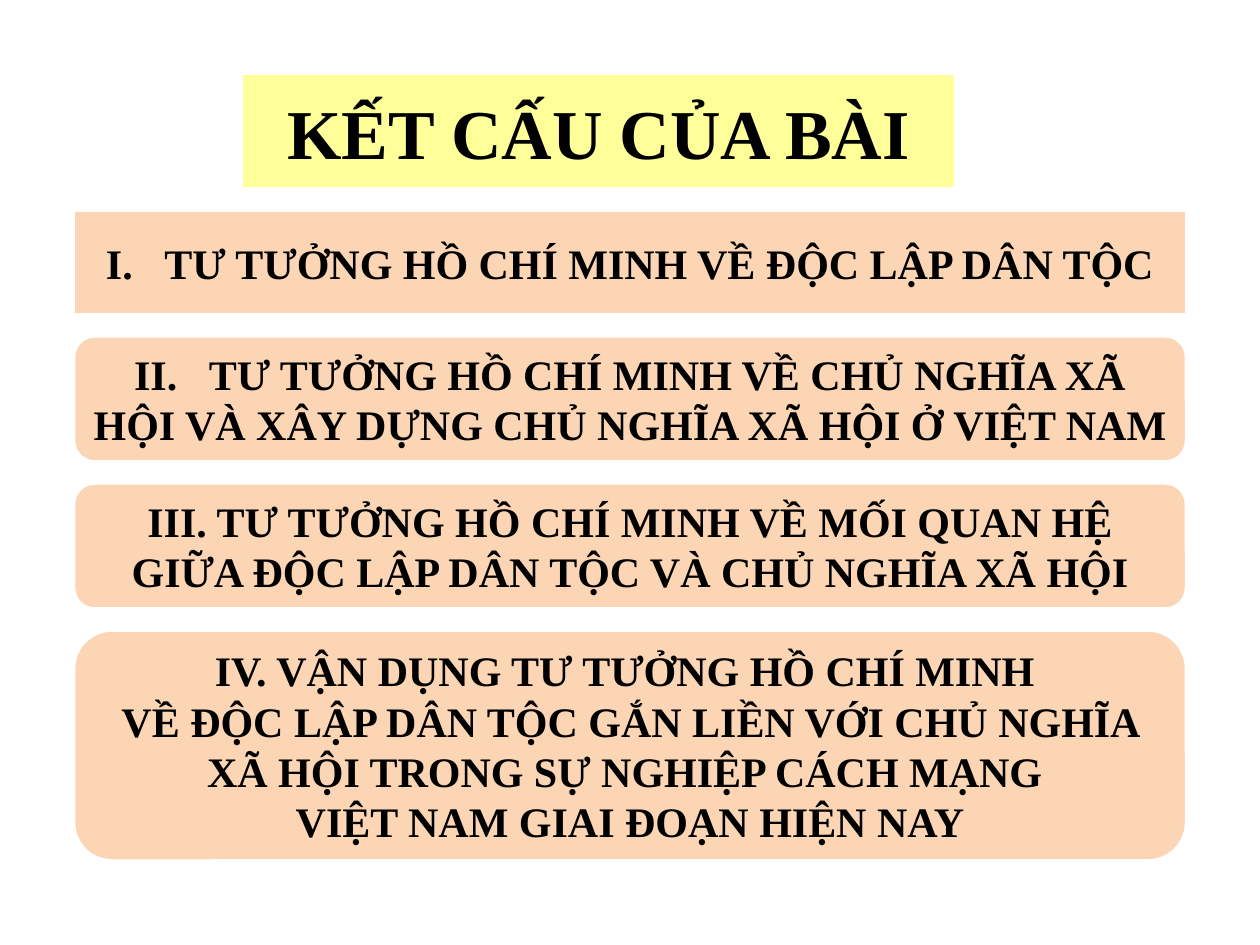
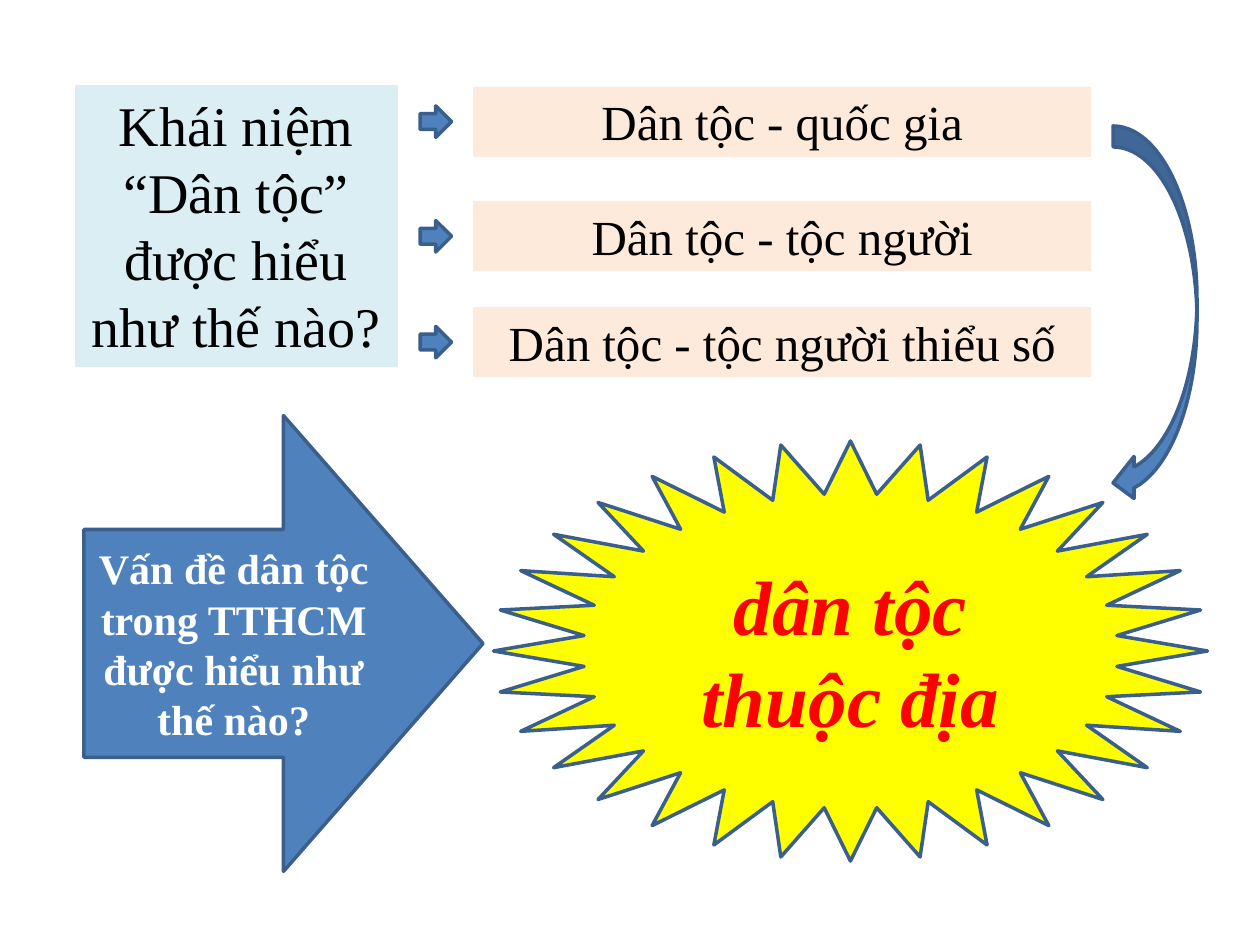
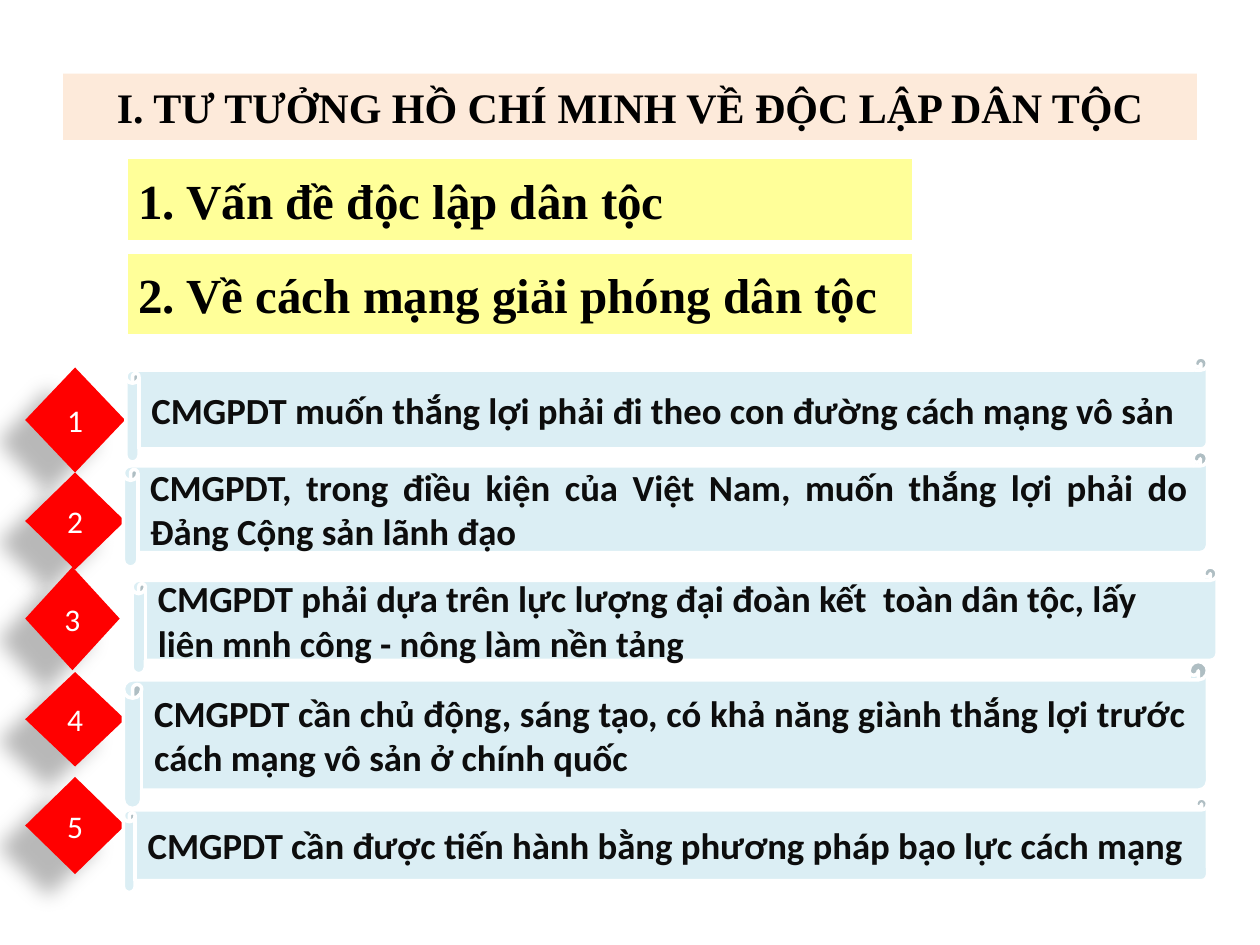
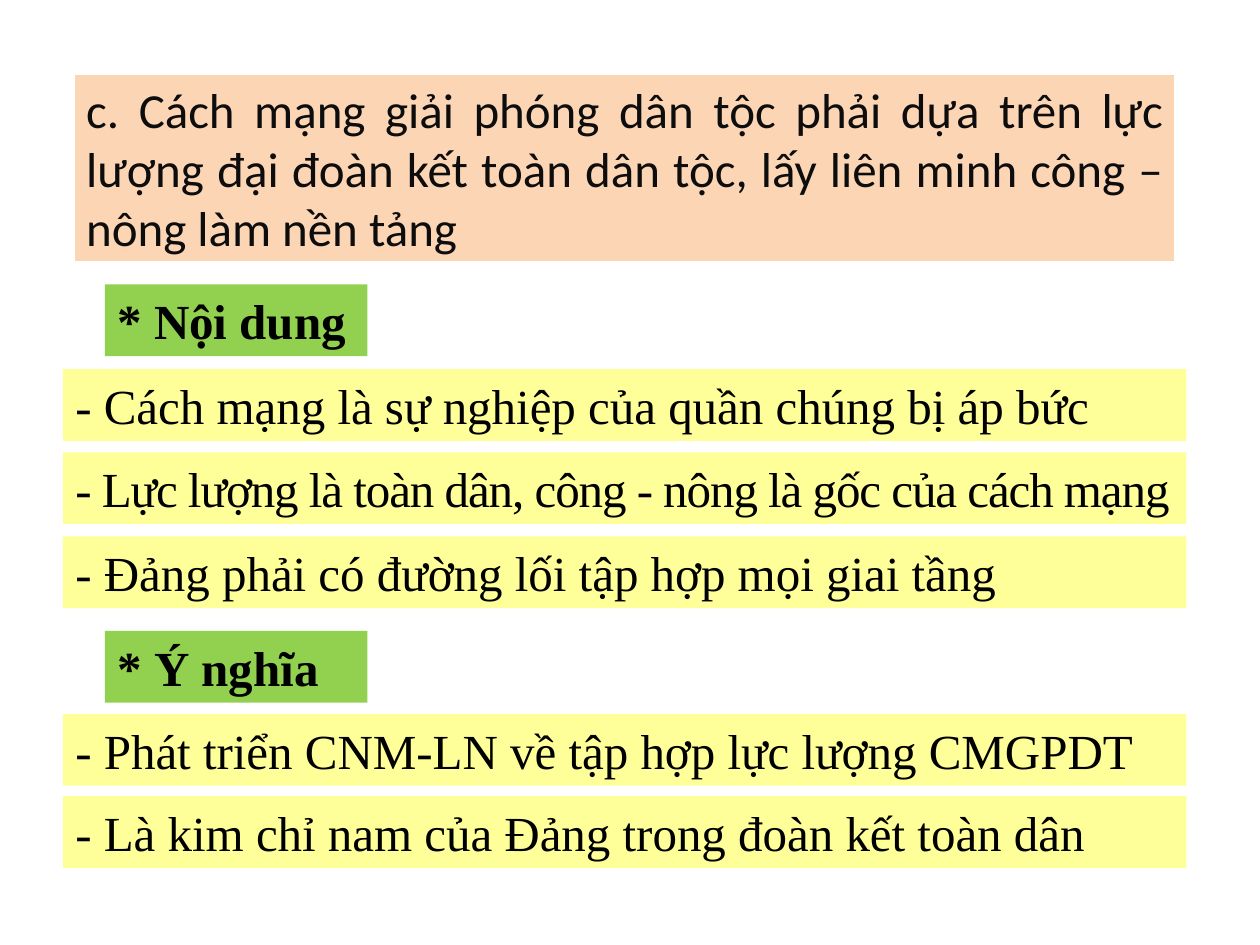
from dataclasses import dataclass

from lxml import etree
from pptx import Presentation
from pptx.dml.color import RGBColor
from pptx.enum.shapes import MSO_SHAPE
from pptx.enum.text import MSO_ANCHOR, MSO_AUTO_SIZE, PP_ALIGN
from pptx.oxml.ns import qn
from pptx.util import Pt

RECTANGLE = MSO_SHAPE.RECTANGLE
ROUNDED = MSO_SHAPE.ROUNDED_RECTANGLE
RIGHT_ARROW = MSO_SHAPE.RIGHT_ARROW
CURVED_ARROW = MSO_SHAPE.CURVED_LEFT_ARROW
STAR = MSO_SHAPE.STAR_32_POINT
SCROLL = MSO_SHAPE.HORIZONTAL_SCROLL
DIAMOND = MSO_SHAPE.DIAMOND
LEFT, CENTER, JUSTIFY = PP_ALIGN.LEFT, PP_ALIGN.CENTER, PP_ALIGN.JUSTIFY
TOP, MIDDLE = MSO_ANCHOR.TOP, MSO_ANCHOR.MIDDLE
FIXED, GROW = MSO_AUTO_SIZE.NONE, MSO_AUTO_SIZE.SHAPE_TO_FIT_TEXT
TITLE_ONLY, BLANK = 5, 6


@dataclass(frozen=True)
class Theme:
    serif: str = "Times New Roman"
    sans: str = "Calibri"
    black: str = "000000"
    ink: str = "0D0D0D"
    white: str = "FFFFFF"
    red: str = "FF0000"
    bright_yellow: str = "FFFF00"
    pale_yellow: str = "FFFF99"
    peach: str = "FCD5B5"
    pale_peach: str = "FDEADA"
    pale_blue: str = "DBEEF4"
    blue: str = "4F81BD"
    dark_blue: str = "3A5F8C"
    green: str = "92D050"
    headline: int = 40
    burst: int = 44
    question: int = 32
    body: int = 28
    section: int = 24
    scroll: int = 21
    number: int = 18


THEME = Theme()


def write_text(shape, paragraphs, size, font=THEME.serif, color=THEME.black,
               bold=False, italic=False, align=CENTER, anchor=MIDDLE,
               fit=FIXED, spacing=0):
    frame = shape.text_frame
    frame.word_wrap = True
    frame.auto_size = fit
    frame.vertical_anchor = anchor
    for index, spans in enumerate(paragraphs):
        para = frame.add_paragraph() if index else frame.paragraphs[0]
        para.alignment = align
        for words, tracking in spans:
            span = para.add_run()
            span.text = words
            span.font.name = font
            span.font.size = Pt(size)
            span.font.bold = bold
            span.font.italic = italic
            span.font.color.rgb = RGBColor.from_string(color)
            if tracking or spacing:
                span.font._element.set("spc", str(round((tracking or spacing) * 100)))


def plain(*lines):
    return [[(line, 0)] for line in lines]


def numbered(numeral, words):
    return [[(numeral, 0), (" ", 12), (words, 0)]]


def paint(shape, fill, line=None, width=2):
    shape.fill.solid()
    shape.fill.fore_color.rgb = RGBColor.from_string(fill)
    if line:
        shape.line.color.rgb = RGBColor.from_string(line)
        shape.line.width = Pt(width)
    else:
        shape.line.fill.background()


def add_box(page, kind, place, fill, line=None, width=2):
    shape = page.shapes.add_shape(kind, *map(Pt, place))
    shape.shadow.inherit = False
    paint(shape, fill, line, width)
    return shape


def add_title(page, paragraphs, place, fill, line=None, **text_format):
    title = page.shapes.title
    title.left, title.top, title.width, title.height = map(Pt, place)
    paint(title, fill, line)
    write_text(title, paragraphs, **text_format)


def add_growing_box(page, words, place, fill, line=None, width=1,
                    size=THEME.body, **text_format):
    box = add_box(page, RECTANGLE, place, fill, line, width)
    write_text(box, plain(words), size, anchor=TOP, fit=GROW, **text_format)


def add_arrow(page, kind, place):
    return add_box(page, kind, place, THEME.blue, THEME.dark_blue)


def add_number(page, number, place):
    diamond = add_box(page, DIAMOND, place, THEME.red)
    effects = diamond._element.spPr.find(qn("a:effectLst"))
    shadow = etree.SubElement(effects, qn("a:outerShdw"), blurRad=str(Pt(11.8)),
                              dist=str(Pt(19.7)), dir=str(141 * 60000),
                              algn="ctr", rotWithShape="0")
    color = etree.SubElement(shadow, qn("a:srgbClr"), val=THEME.black)
    etree.SubElement(color, qn("a:alpha"), val="28000")
    write_text(diamond, plain(str(number)), THEME.number, font=THEME.sans,
               color=THEME.white)


def build_outline(page):
    add_title(page, plain("KẾT CẤU CỦA BÀI"), (138, 42, 408, 66),
              THEME.pale_yellow, THEME.white, size=THEME.headline, bold=True)
    sections = [
        (RECTANGLE, 60, numbered("I.", "TƯ TƯỞNG HỒ CHÍ MINH VỀ ĐỘC LẬP DÂN TỘC")),
        (ROUNDED, 72, numbered("II.", "TƯ TƯỞNG HỒ CHÍ MINH VỀ CHỦ NGHĨA XÃ HỘI VÀ "
                                      "XÂY DỰNG CHỦ NGHĨA XÃ HỘI Ở VIỆT NAM")),
        (ROUNDED, 72, plain("III. TƯ TƯỞNG HỒ CHÍ MINH VỀ MỐI QUAN HỆ GIỮA "
                            "ĐỘC LẬP DÂN TỘC VÀ CHỦ NGHĨA XÃ HỘI")),
        (ROUNDED, 132, plain("IV. VẬN DỤNG TƯ TƯỞNG HỒ CHÍ MINH ",
                             "VỀ ĐỘC LẬP DÂN TỘC GẮN LIỀN VỚI CHỦ NGHĨA XÃ HỘI "
                             "TRONG SỰ NGHIỆP CÁCH MẠNG ",
                             "VIỆT NAM GIAI ĐOẠN HIỆN NAY")),
    ]
    top, gap = 120, 12
    for kind, height, paragraphs in sections:
        box = add_box(page, kind, (42, top, 636, height), THEME.peach, THEME.white)
        write_text(box, paragraphs, THEME.section, bold=True)
        top += height + gap


def build_concept(page):
    meanings = [(49, "Dân tộc - quốc gia"),
                (114.5, "Dân tộc - tộc người"),
                (175, "Dân tộc - tộc người thiểu số")]
    for top, words in meanings:
        add_growing_box(page, words, (270, top, 354, 41), THEME.pale_peach,
                        THEME.white)
        add_arrow(page, RIGHT_ARROW, (240, top + 11.5, 18, 18))
    add_growing_box(page, "Khái niệm “Dân tộc” được hiểu như thế nào?",
                    (42, 48, 186, 162.5), THEME.pale_blue, THEME.white, 1.5,
                    size=THEME.question)
    add_arrow(page, CURVED_ARROW, (636, 72, 48, 216))
    burst = add_box(page, STAR, (282, 252, 408, 240), THEME.bright_yellow,
                    THEME.dark_blue)
    write_text(burst, plain("dân tộc thuộc địa"), THEME.burst, color=THEME.red,
               bold=True, italic=True)
    question = add_arrow(page, RIGHT_ARROW, (48, 237.5, 228, 260.5))
    write_text(question, plain("Vấn đề dân tộc trong TTHCM được hiểu như thế nào?"),
               THEME.section, color=THEME.white, bold=True)


def build_independence(page):
    add_title(page, plain("I. TƯ TƯỞNG HỒ CHÍ MINH VỀ ĐỘC LẬP DÂN TỘC"),
              (36, 42, 648, 38), THEME.pale_peach, size=THEME.section, bold=True)
    headings = ["1. Vấn đề độc lập dân tộc", "2. Về cách mạng giải phóng dân tộc"]
    for row, words in enumerate(headings):
        box = add_box(page, RECTANGLE, (72, 90 + 54 * row, 450, 48),
                      THEME.pale_yellow, THEME.white)
        write_text(box, plain(words), THEME.body, bold=True, align=JUSTIFY)
    diamonds = [(210, 57, 60), (270, 57, 55.5), (324, 54, 59),
                (384, 57, 54), (444, 57, 55.5)]
    for number, (top, width, height) in enumerate(diamonds, 1):
        add_number(page, number, (14.4, top, width, height))
    theses = [
        ((72, 204, 618, 60), LEFT,
         "CMGPDT muốn thắng lợi phải đi theo con đường cách mạng vô sản"),
        ((70.5, 258, 619.5, 66), JUSTIFY,
         "CMGPDT, trong điều kiện của Việt Nam, muốn thắng lợi phải do "
         "Đảng Cộng sản lãnh đạo"),
        ((75.5, 324, 620, 61), LEFT,
         "CMGPDT phải dựa trên lực lượng đại đoàn kết  toàn dân tộc, "
         "lấy liên mnh công - nông làm nền tảng"),
        ((70.5, 378, 619.5, 84), JUSTIFY,
         "CMGPDT cần chủ động, sáng tạo, có khả năng giành thắng lợi trước "
         "cách mạng vô sản ở chính quốc"),
        ((70.5, 456, 619.5, 54), LEFT,
         "CMGPDT cần được tiến hành bằng phương pháp bạo lực cách mạng"),
    ]
    for place, align, words in theses:
        scroll = add_box(page, SCROLL, place, THEME.pale_blue, THEME.white)
        write_text(scroll, plain(words), THEME.scroll, font=THEME.sans,
                   color=THEME.ink, bold=True, align=align)


def build_forces(page):
    add_title(page, plain("c. Cách mạng giải phóng dân tộc phải dựa trên lực lượng "
                          "đại đoàn kết toàn dân tộc, lấy liên minh công – nông "
                          "làm nền tảng"),
              (42, 42, 630, 108), THEME.peach, THEME.white, size=THEME.body,
              font=THEME.sans, color=THEME.ink, align=JUSTIFY)
    for top, words in [(162.5, "* Nội dung"), (360.5, "* Ý nghĩa")]:
        add_growing_box(page, words, (60, top, 150, 41), THEME.green,
                        bold=True, align=LEFT)
    points = [
        (211, 0, "- Cách mạng là sự nghiệp của quần chúng bị áp bức"),
        (258.5, -0.6, "- Lực lượng là toàn dân, công - nông là gốc của cách mạng"),
        (306.5, 0, "- Đảng phải có đường lối tập hợp mọi giai tầng"),
        (408, 0, "- Phát triển CNM-LN về tập hợp lực lượng CMGPDT"),
        (455, 0, "- Là kim chỉ nam của Đảng trong đoàn kết toàn dân"),
    ]
    for top, spacing, words in points:
        add_growing_box(page, words, (36, top, 642, 41), THEME.pale_yellow,
                        align=JUSTIFY, spacing=spacing)


def main():
    deck = Presentation()
    deck.slide_width, deck.slide_height = Pt(720), Pt(540)
    builders = [(TITLE_ONLY, build_outline), (BLANK, build_concept),
                (TITLE_ONLY, build_independence), (TITLE_ONLY, build_forces)]
    for layout, build in builders:
        build(deck.slides.add_slide(deck.slide_layouts[layout]))
    deck.save("out.pptx")


if __name__ == "__main__":
    main()
